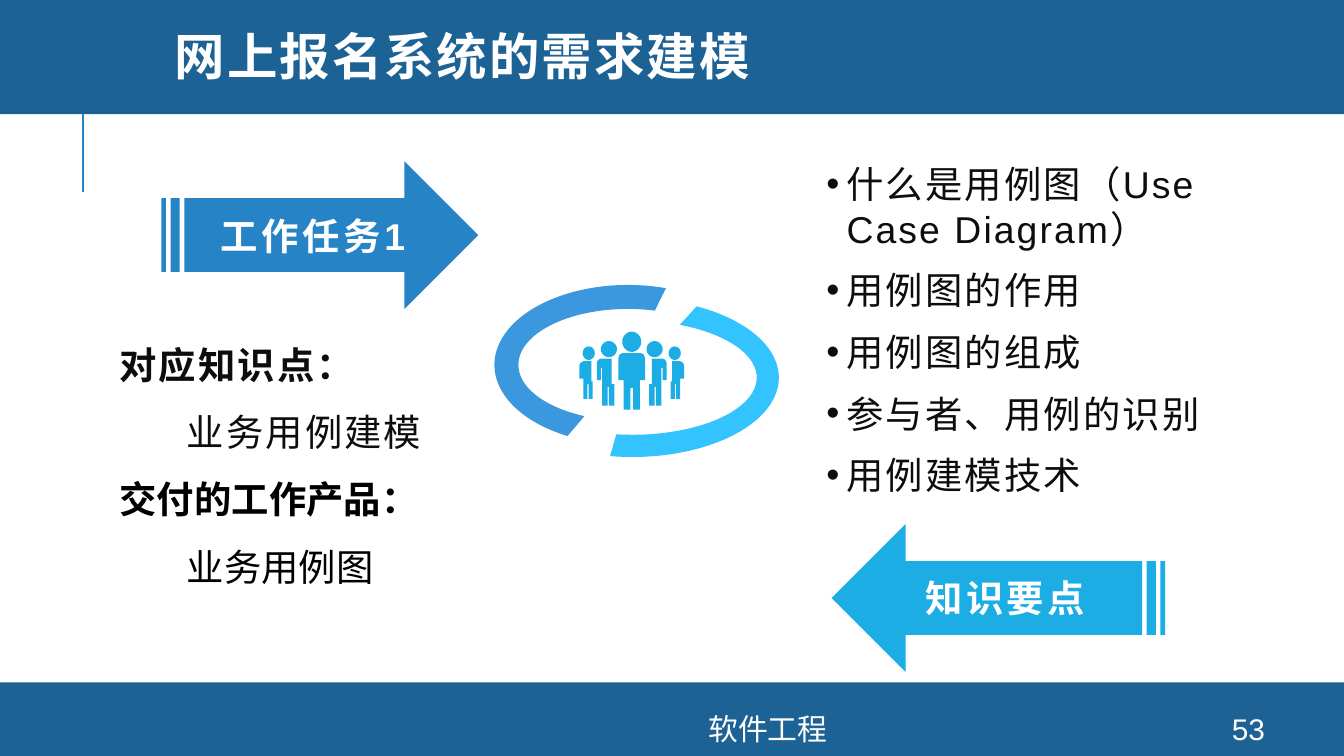
from dataclasses import dataclass
from math import cos, pi, sin

from lxml.etree import SubElement
from pptx import Presentation
from pptx.dml.color import RGBColor
from pptx.enum.shapes import MSO_CONNECTOR, MSO_SHAPE
from pptx.enum.text import MSO_ANCHOR, MSO_AUTO_SIZE, PP_ALIGN
from pptx.oxml.ns import qn
from pptx.util import Cm, Pt


@dataclass(frozen=True)
class Theme:
    navy: str = "1D6294"
    blue: str = "2683C6"
    cyan: str = "1CADE4"
    steel: str = "3C98DE"
    sky: str = "33C3FF"
    ink: str = "0D0D0D"
    black: str = "000000"
    white: str = "FFFFFF"
    font: str = "Arial"
    display: str = "Montserrat"
    head: int = 27
    body: int = 20
    small: int = 16


class Deck:
    def __init__(self, theme):
        self.theme = theme
        self.file = Presentation()
        self.file.slide_width, self.file.slide_height = Cm(25.4), Cm(14.29)
        self.slide = self.file.slides.add_slide(self.file.slide_layouts[5])
        self.shapes = self.slide.shapes

    def paint(self, shape, color):
        shape.shadow.inherit = False
        shape.fill.solid()
        shape.fill.fore_color.rgb = RGBColor.from_string(color)
        shape.line.fill.background()
        return shape

    def style(self, para, size, color, bold=False, gap=0, face=None):
        for run in para.runs:
            font = run.font
            font.name, font.size, font.bold = face or self.theme.font, Pt(size), bold
            font.color.rgb = RGBColor.from_string(color)
            if gap:
                run._r.get_or_add_rPr().set("spc", str(round(gap * 100)))

    def shape(self, kind, box, color):
        return self.paint(self.shapes.add_shape(kind, *map(Cm, box)), color)

    def rule(self, start, end, color):
        line = self.shapes.add_connector(MSO_CONNECTOR.STRAIGHT, *map(Cm, start + end))
        line.line.color.rgb = RGBColor.from_string(color)
        line.line.width = Pt(1.5)
        SubElement(line._element.spPr, qn("a:effectLst"))

    def arrow(self, box, text, color, flip=False):
        shape = self.shape(MSO_SHAPE.STRIPED_RIGHT_ARROW, box, color)
        if flip:
            shape._element.spPr.xfrm.set("flipH", "1")
        frame = shape.text_frame
        frame.text = text
        frame.vertical_anchor = MSO_ANCHOR.MIDDLE
        frame.paragraphs[0].alignment = PP_ALIGN.CENTER
        self.style(frame.paragraphs[0], self.theme.body, self.theme.white, True, 1.9)

    def arc(self, box, turn, bend, color):
        shape = self.shape(MSO_SHAPE.BLOCK_ARC, box, color)
        shape.rotation = turn
        for i, value in enumerate(bend):
            shape.adjustments[i] = value

    def icon(self, x, y, outlines, color):
        pen = self.shapes.build_freeform(*outlines[0][0], scale=Cm(2.54) / 1000)
        for i, points in enumerate(outlines):
            if i:
                pen.move_to(*points[0])
            pen.add_line_segments(points[1:], close=True)
        self.paint(pen.convert_to_shape(Cm(x), Cm(y)), color)

    def title(self, box, text):
        shape = self.shapes.title
        shape.left, shape.top, shape.width, shape.height = map(Cm, box)
        frame = shape.text_frame
        frame.text = text
        frame.auto_size = MSO_AUTO_SIZE.NONE
        frame.vertical_anchor = MSO_ANCHOR.MIDDLE
        para = frame.paragraphs[0]
        para.alignment = PP_ALIGN.LEFT
        para.line_spacing = 0.8
        self.style(para, self.theme.head, self.theme.white, True, 1.1, self.theme.display)
        self.shapes._spTree.append(shape._element)

    def frame(self, box, lines):
        frame = self.shapes.add_textbox(*map(Cm, box)).text_frame
        frame.word_wrap = True
        frame.text = "\n".join(lines)
        return frame

    def tasks(self, box, rows):
        frame = self.frame(box, [row[0] for row in rows])
        frame.auto_size = MSO_AUTO_SIZE.SHAPE_TO_FIT_TEXT
        for para, (_, level, color, gap) in zip(frame.paragraphs, rows):
            para.level = level
            para.line_spacing = 1.5
            if level:
                para._p.get_or_add_pPr().set("marL", str(Cm(1.27)))
            self.style(para, self.theme.body, color, not level, gap)

    def bullets(self, box, lines):
        frame = self.frame(box, lines)
        frame.auto_size = MSO_AUTO_SIZE.SHAPE_TO_FIT_TEXT
        for i, para in enumerate(frame.paragraphs):
            props = para._p.get_or_add_pPr()
            props.set("marL", str(Cm(0.38)))
            props.set("indent", str(-Cm(0.38)))
            SubElement(props, qn("a:buFont")).set("typeface", self.theme.font)
            SubElement(props, qn("a:buChar")).set("char", "•")
            if i:
                para.space_before = Pt(9)
            self.style(para, self.theme.body, self.theme.ink, gap=1.1)

    def label(self, box, text):
        frame = self.frame(box, [text])
        frame.vertical_anchor = MSO_ANCHOR.MIDDLE
        frame.paragraphs[0].alignment = PP_ALIGN.CENTER
        self.style(frame.paragraphs[0], self.theme.small, self.theme.white)


def oval(x, y, wide, high, count=32):
    turns = [2 * pi * i / count for i in range(count)]
    return [(x + wide * cos(a), y + high * sin(a)) for a in turns]


def flip(points):
    return [(-x, y) for x, y in points]


def crowd():
    half = [(0, 16), (7, 16), (9, 17), (10, 20), (10, 36), (6, 36),
            (6, 58), (1, 58), (1, 42), (0, 42)]
    near = [(13, 39), (13, 55), (17, 55), (17, 41), (18, 41), (18, 55), (22, 55),
            (22, 27), (23, 27), (23, 36), (26, 36), (26, 23), (25, 21), (23, 20),
            (15, 20), (15, 39)]
    far = [(29, 37), (29, 50), (32, 50), (32, 39), (33, 39), (33, 50), (36, 50),
           (36, 35), (39, 35), (39, 25), (38, 23), (36, 22), (30, 22), (30, 37)]
    sides = [near, far, oval(17, 13, 6, 6), oval(32, 16, 4.5, 5)]
    parts = [half + flip(half)[::-1], oval(0, 7.5, 7, 7.5)]
    parts += sides + [flip(side) for side in sides]
    return [[(round(x * 10), round(y * 10)) for x, y in part] for part in parts]


def main():
    theme = Theme()
    deck = Deck(theme)
    deck.rule((1.57, 3.63), (1.57, 1.73), theme.blue)
    for top, high in ((12.9, 1.39), (-0.08, 2.24)):
        deck.shape(MSO_SHAPE.RECTANGLE, (0, top, 25.4, high), theme.navy)
    deck.arrow((3.05, 3.05, 5.99, 2.79), "工作任务1", theme.blue)
    deck.arrow((15.72, 9.91, 6.3, 2.79), "知识要点", theme.cyan, True)
    deck.arc((10.45, 4.37, 3, 5.54), 90, (133.2, 9.5, 0.14), theme.sky)
    deck.arc((10.36, 4.37, 3.02, 5.05), 270, (132.2, 15.8, 0.15), theme.steel)
    deck.icon(11.94, 6.27, crowd(), theme.cyan)
    deck.tasks((2.01, 5.92, 7.34, 5.38), [
        ("对应知识点：", 0, theme.ink, 1.1),
        ("业务用例建模", 1, theme.ink, 1.1),
        ("交付的工作产品：", 0, theme.black, 0),
        ("业务用例图", 1, theme.black, 0),
    ])
    deck.title((3.05, 0, 21.56, 2.31), "网上报名系统的需求建模")
    deck.bullets((15.37, 2.92, 9.5, 6.68), [
        "什么是用例图（Use Case Diagram）",
        "用例图的作用",
        "用例图的组成",
        "参与者、用例的识别",
        "用例建模技术",
    ])
    deck.label((22.58, 13.49, 2.03, 0.58), "53")
    deck.label((6.63, 13.49, 15.77, 0.58), "软件工程")
    deck.file.save("out.pptx")


if __name__ == "__main__":
    main()
